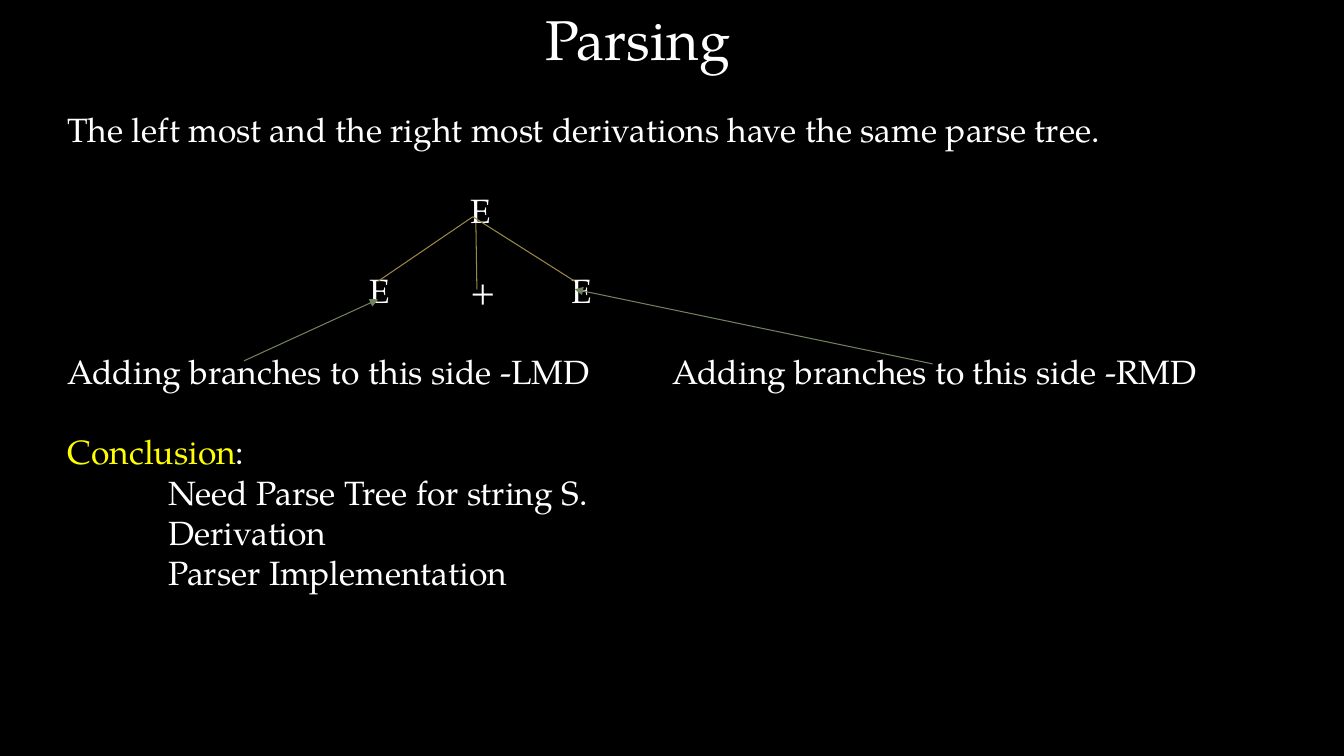
from lxml.etree import SubElement
from pptx import Presentation
from pptx.dml.color import RGBColor
from pptx.enum.shapes import MSO_CONNECTOR as Connector
from pptx.enum.text import PP_ALIGN as Align
from pptx.oxml.ns import qn
from pptx.util import Inches, Pt

FONT = "TeX Gyre Pagella"
WHITE, YELLOW, BLACK = "FFFFFF", "FFFF00", "000000"
GOLD, GREEN = "998946", "72825E"
BODY_SIZE, LINE_GAP, TAB_STEP = 24, 28.8, 1

TITLE = [([("Parsing", WHITE)], 0, 0)]
BODY = [
    ([("The left most and the right most derivations have the same parse tree.", WHITE)], 0, 0),
    ([("E", WHITE)], 4, LINE_GAP),
    ([("E\t+\tE", WHITE)], 3, LINE_GAP),
    ([("Adding branches to this side -LMD\tAdding branches to this side -RMD", WHITE)], 0, LINE_GAP),
    ([("Conclusion", YELLOW), (":", WHITE)], 0, LINE_GAP),
    ([("Need Parse Tree for string S.", WHITE)], 1, 0),
    ([("Derivation", WHITE)], 1, 0),
    ([("Parser Implementation", WHITE)], 1, 0),
]
BRANCHES = [
    ((4.69, 2.15), (3.75, 2.79)),
    ((4.72, 2.21), (4.73, 2.87)),
    ((4.69, 2.15), (5.7, 2.79)),
]
POINTERS = [
    ((2.42, 3.58), (3.75, 2.97)),
    ((9.25, 3.61), (5.7, 2.87)),
]


def color(value):
    return RGBColor.from_string(value)


def add_text(page, place, lines, size, align):
    box = page.shapes.add_textbox(*map(Inches, place))
    frame = box.text_frame
    frame.word_wrap = True
    for index, (spans, indent, gap) in enumerate(lines):
        para = frame.add_paragraph() if index else frame.paragraphs[0]
        para.alignment = align
        if gap:
            para.space_before = Pt(gap)
        properties = para._p.get_or_add_pPr()
        properties.set("marL", str(Inches(indent * TAB_STEP)))
        properties.set("indent", "0")
        properties.set("defTabSz", str(Inches(TAB_STEP)))
        para.font.name = FONT
        para.font.size = Pt(size)
        for text, shade in spans:
            span = para.add_run()
            span.text = text
            span.font.color.rgb = color(shade)


def add_line(page, start, end, shade, arrow=False):
    line = page.shapes.add_connector(Connector.STRAIGHT, *map(Inches, start + end))
    line.line.color.rgb = color(shade)
    line.line.width = Pt(0.75)
    if arrow:
        SubElement(line.line._get_or_add_ln(), qn("a:tailEnd"), type="triangle")
    SubElement(line._element.spPr, qn("a:effectLst"))


deck = Presentation()
deck.slide_width, deck.slide_height = Inches(13.33), Inches(7.5)
page = deck.slides.add_slide(deck.slide_layouts[6])
page.background.fill.solid()
page.background.fill.fore_color.rgb = color(BLACK)

add_text(page, (0.57, 1.03, 12.37, 4.95), BODY, BODY_SIZE, Align.JUSTIFY)
add_text(page, (5.31, 0, 2.16, 0.77), TITLE, 40, Align.LEFT)
for start, end in BRANCHES:
    add_line(page, start, end, GOLD)
for start, end in POINTERS:
    add_line(page, start, end, GREEN, arrow=True)

deck.save("out.pptx")
